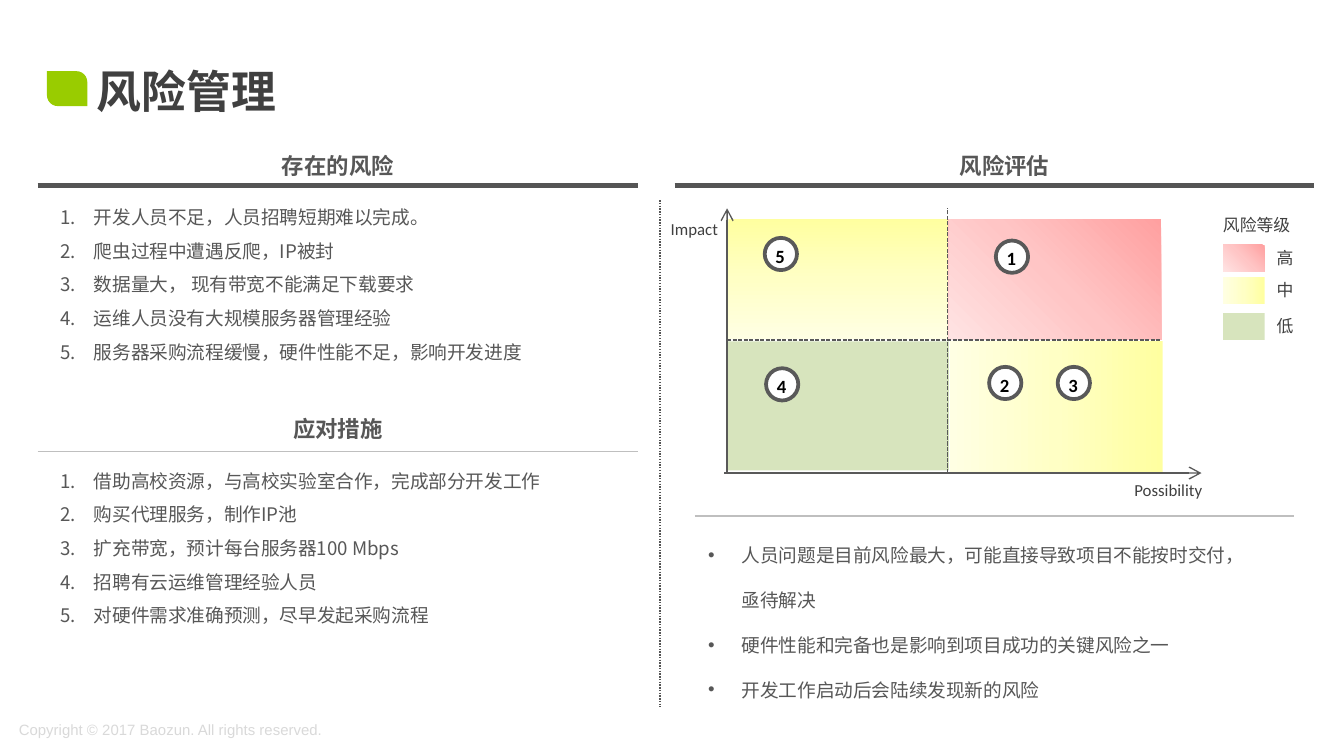
from copy import deepcopy
from typing import NamedTuple, Optional

from lxml import etree
from pptx import Presentation
from pptx.dml.color import RGBColor
from pptx.enum.dml import MSO_LINE
from pptx.enum.shapes import MSO_CONNECTOR, MSO_SHAPE
from pptx.enum.text import PP_ALIGN
from pptx.oxml.ns import qn
from pptx.util import Inches, Pt

STRAIGHT = MSO_CONNECTOR.STRAIGHT
RECT, OVAL, LEAF = MSO_SHAPE.RECTANGLE, MSO_SHAPE.OVAL, MSO_SHAPE.ROUND_2_DIAG_RECTANGLE
LEFT, CENTER = PP_ALIGN.LEFT, PP_ALIGN.CENTER
DOT, DASH = MSO_LINE.ROUND_DOT, MSO_LINE.SQUARE_DOT
CJK, LATIN, FOOTER_FONT = "Noto Sans CJK SC", "Calibri", "Arial"

COLORS = {
    "leaf": "99CC00", "title": "404040", "body": "575757", "rule": "555555",
    "axis": "595959", "divider": "BFBFBF", "footer": "D9D9D9",
    "white": "FFFFFF", "black": "000000", "low": "D7E4BD",
}
GRADIENTS = {
    "medium": ("FFFFA0", "FFFFC5", "FFFFE3"),
    "high": ("FFA0A0", "FFC5C5", "FFE3E3"),
}


class Zone(NamedTuple):
    """A risk level area; angle is clockwise, from strong to pale colour."""
    level: str
    box: tuple
    angle: int = 0


class Rule(NamedTuple):
    start: tuple
    end: tuple
    color: str
    width: float = 0.75
    dash: Optional[int] = None
    arrow: bool = False


class Marker(NamedTuple):
    number: int
    left: float
    top: float


class Points(NamedTuple):
    box: tuple
    items: tuple
    spacing: float = 1.5
    numbered: bool = True


ZONES = (
    Zone("low", (5.41, 2.54, 1.65, 0.96)),
    Zone("medium", (5.42, 1.63, 1.64, 0.89), 90),
    Zone("medium", (7.07, 2.54, 1.58, 0.98), 180),
    Zone("high", (7.06, 1.63, 1.58, 0.9), 135),
)
LEGEND = (
    ("高", Zone("high", (9.1, 1.82, 0.31, 0.2), 135)),
    ("中", Zone("medium", (9.1, 2.06, 0.31, 0.2), 180)),
    ("低", Zone("low", (9.1, 2.33, 0.31, 0.2))),
)
RULES = (
    Rule((4.91, 1.49), (4.91, 5.26), "rule", dash=DOT),
    Rule((0.28, 1.38), (4.75, 1.38), "rule", 2.25),
    Rule((5.02, 1.38), (9.78, 1.38), "rule", 2.25),
    Rule((0.28, 3.36), (4.75, 3.36), "divider"),
    Rule((5.17, 3.84), (9.63, 3.84), "divider"),
    Rule((5.39, 3.52), (8.94, 3.52), "axis", arrow=True),
    Rule((5.41, 3.52), (5.41, 1.55), "axis", arrow=True),
    Rule((5.41, 2.53), (8.64, 2.53), "axis", dash=DASH),
    Rule((7.05, 3.52), (7.05, 1.55), "axis", dash=DASH),
)
MARKERS = (
    Marker(1, 7.41, 1.79), Marker(2, 7.36, 2.73), Marker(3, 7.87, 2.73),
    Marker(4, 5.7, 2.74), Marker(5, 5.69, 1.77),
)
HEADINGS = (("存在的风险", -0.14, 1.08), ("风险评估", 4.82, 1.08), ("应对措施", -0.14, 3.04))
CHART_LABELS = (
    ("Impact", (4.94, 1.58, 0.47, 0.25)),
    ("Possibility", (8.39, 3.52, 0.63, 0.25)),
    ("风险等级", (9.05, 1.55, 0.63, 0.25)),
)
RISKS = Points((0.35, 1.4, 4.19, 1.36), (
    "开发人员不足，人员招聘短期难以完成。",
    "爬虫过程中遭遇反爬，IP被封",
    "数据量大， 现有带宽不能满足下载要求",
    "运维人员没有大规模服务器管理经验",
    "服务器采购流程缓慢，硬件性能不足，影响开发进度",
))
MEASURES = Points((0.35, 3.36, 4.19, 1.62), (
    "借助高校资源，与高校实验室合作，完成部分开发工作",
    "购买代理服务，制作IP池",
    "扩充带宽，预计每台服务器100 Mbps",
    "招聘有云运维管理经验人员",
    "对硬件需求准确预测，尽早发起采购流程",
))
CONCLUSIONS = Points((5.17, 3.83, 4.19, 1.45), (
    "人员问题是目前风险最大，可能直接导致项目不能按时交付，亟待解决",
    "硬件性能和完备也是影响到项目成功的关键风险之一",
    "开发工作启动后会陆续发现新的风险",
), 2.0, False)


def rgb(name: str) -> RGBColor:
    return RGBColor.from_string(COLORS[name])


def add_bullet(paragraph, numbered: bool) -> None:
    properties = paragraph._p.get_or_add_pPr()
    properties.set("marL", str(Inches(0.25)))
    properties.set("indent", str(Inches(-0.25)))
    if numbered:
        etree.SubElement(properties, qn("a:buAutoNum"), type="arabicPeriod")
    else:
        etree.SubElement(properties, qn("a:buFont"), typeface=FOOTER_FONT)
        etree.SubElement(properties, qn("a:buChar"), char="•")


def add_text(shapes, box: tuple, *lines: str, size: float = 9, color: str = "title",
             font: str = LATIN, bold: bool = False, align: int = LEFT,
             insets: tuple = (0.05, 0.05), spacing: Optional[float] = None,
             numbered: Optional[bool] = None) -> None:
    """Add a text box; numbered=None means no bullets, insets are (side, top)."""
    frame = shapes.add_textbox(*map(Inches, box)).text_frame
    frame.word_wrap = True
    frame.margin_left = frame.margin_right = Inches(insets[0])
    frame.margin_top = frame.margin_bottom = Inches(insets[1])
    for index, line in enumerate(lines):
        paragraph = frame.add_paragraph() if index else frame.paragraphs[0]
        if numbered is not None:
            add_bullet(paragraph, numbered)
        paragraph.alignment = align
        paragraph.line_spacing = spacing
        run = paragraph.add_run()
        run.text = line
        run.font.size, run.font.bold, run.font.name = Pt(size), bold, font
        run.font.color.rgb = rgb(color)
        etree.SubElement(run._r.get_or_add_rPr(), qn("a:ea"), typeface=CJK)


def add_shape(shapes, kind: int, box: tuple, fill: Optional[str] = None):
    shape = shapes.add_shape(kind, *map(Inches, box))
    shape.shadow.inherit = False
    shape.line.fill.background()
    if fill:
        shape.fill.solid()
        shape.fill.fore_color.rgb = rgb(fill)
    return shape


def add_zone(shapes, zone: Zone) -> None:
    if zone.level not in GRADIENTS:
        add_shape(shapes, RECT, zone.box, zone.level)
        return
    area = add_shape(shapes, RECT, zone.box)
    area.fill.gradient()
    area.fill.gradient_angle = 360 - zone.angle
    stop_list = area._element.spPr.find(".//" + qn("a:gsLst"))
    stop_list.append(deepcopy(stop_list[-1]))
    for index, (stop, color) in enumerate(zip(area.fill.gradient_stops, GRADIENTS[zone.level])):
        stop.position = index / 2
        stop.color.rgb = RGBColor.from_string(color)


def add_rule(shapes, rule: Rule) -> None:
    connector = shapes.add_connector(STRAIGHT, *map(Inches, rule.start + rule.end))
    connector.line.color.rgb = rgb(rule.color)
    connector.line.width = Pt(rule.width)
    if rule.dash is not None:
        connector.line.dash_style = rule.dash
    if rule.arrow:
        etree.SubElement(connector.line._get_or_add_ln(), qn("a:tailEnd"), type="arrow")
    etree.SubElement(connector._element.spPr, qn("a:effectLst"))


def add_marker(shapes, marker: Marker) -> None:
    members = shapes.add_group_shape().shapes
    circle = add_shape(members, OVAL, (marker.left, marker.top, 0.24, 0.24), "white")
    circle.line.color.rgb = rgb("axis")
    circle.line.width = Pt(2)
    add_text(members, (marker.left + 0.03, marker.top, 0.17, 0.27), str(marker.number),
             size=10, color="black", bold=True, align=CENTER)


def add_points(shapes, points: Points) -> None:
    add_text(shapes, points.box, *points.items, size=10, color="body", font=CJK,
             insets=(0.1, 0.05), spacing=points.spacing, numbered=points.numbered)


def main() -> None:
    deck = Presentation()
    deck.slide_width = Inches(10)
    deck.slide_height = Inches(10) * 9 // 16
    shapes = deck.slides.add_slide(deck.slide_layouts[6]).shapes

    add_text(shapes, (0.14, 5.36, 2.93, 0.14), "Copyright © 2017 Baozun. All rights reserved.",
             size=8, color="footer", font=FOOTER_FONT, insets=(0, 0))
    leaf = add_shape(shapes, LEAF, (0.35, 0.53, 0.3, 0.26), "leaf")
    leaf.adjustments[0], leaf.adjustments[1] = 0, 0.31
    add_text(shapes, (0.67, 0.5, 8.65, 0.51), "风险管理", size=24, font=CJK, bold=True, spacing=0.8)
    for heading, left, top in HEADINGS:
        add_text(shapes, (left, top, 5.31, 0.3), heading, size=12, color="body", font=CJK,
                 bold=True, align=CENTER, insets=(0.1, 0.05))

    for zone in ZONES:
        add_zone(shapes, zone)
    for rule in RULES:
        add_rule(shapes, rule)
    for label, box in CHART_LABELS:
        add_text(shapes, box, label)
    for label, swatch in LEGEND:
        add_zone(shapes, swatch)
        add_text(shapes, (9.45, swatch.box[1] - 0.03, 0.5, 0.25), label)
    for marker in MARKERS:
        add_marker(shapes, marker)
    for points in (RISKS, MEASURES, CONCLUSIONS):
        add_points(shapes, points)

    deck.save("out.pptx")


if __name__ == "__main__":
    main()
